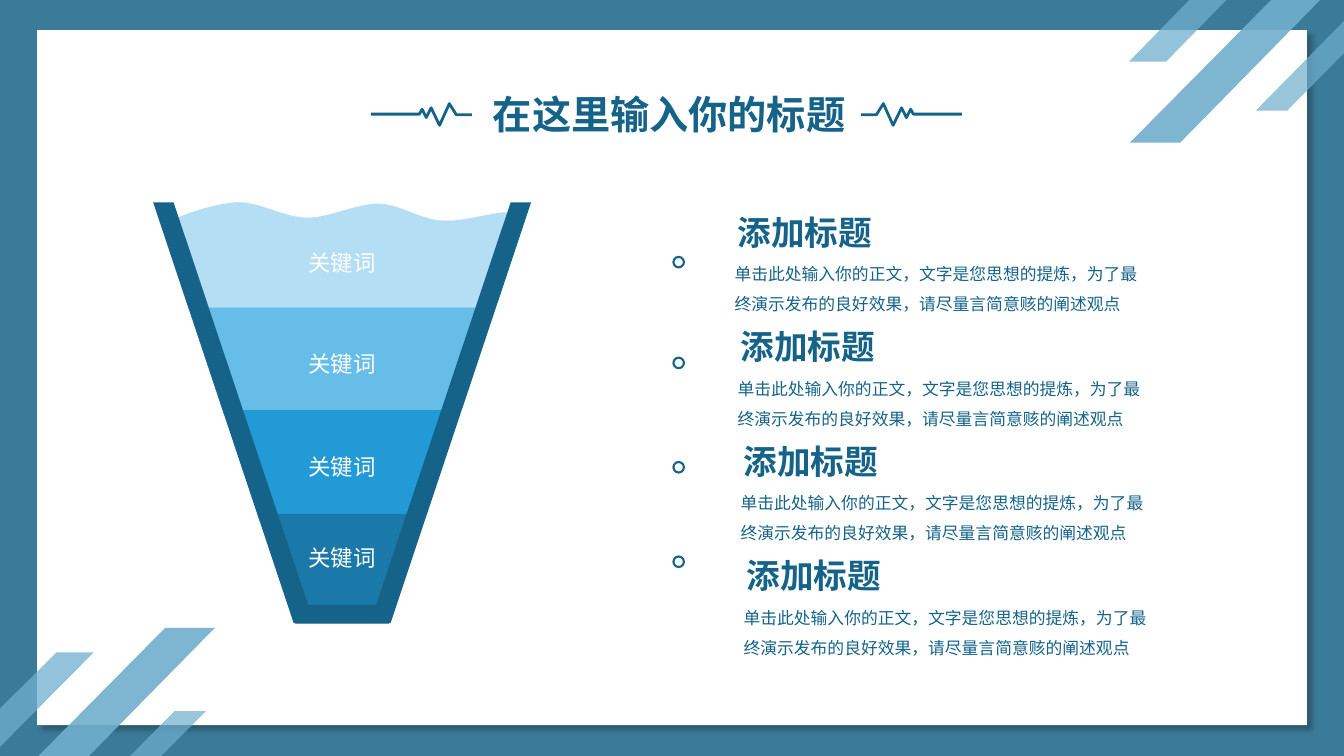
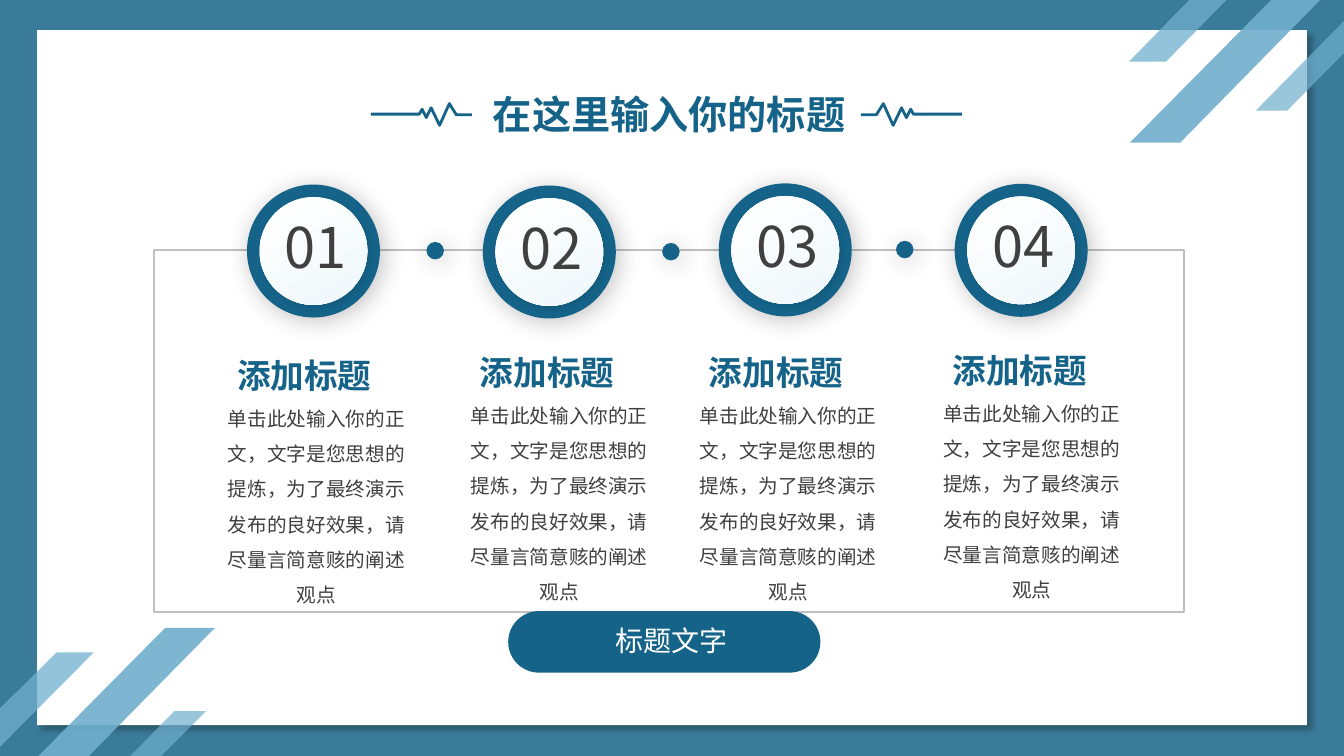
from dataclasses import dataclass
from itertools import chain
from typing import NamedTuple, Optional

from lxml.etree import SubElement
from pptx import Presentation
from pptx.dml.color import RGBColor
from pptx.enum.shapes import MSO_SHAPE
from pptx.enum.text import MSO_AUTO_SIZE, PP_ALIGN
from pptx.oxml.ns import qn
from pptx.shapes.autoshape import Shape
from pptx.slide import Slide, SlideLayout
from pptx.util import Pt


# Theme: colours and type sizes
@dataclass(frozen=True)
class Theme:
    font: str = "Noto Sans CJK SC"
    backdrop: str = "F2F2F2"
    border: str = "3A7B99"
    paper: str = "FFFFFF"
    ribbon: str = "70AFCE"
    navy: str = "156389"
    ink: str = "404040"
    outline: str = "BFBFBF"
    tint: str = "F0F8FB"
    water: tuple[str, ...] = ("B3DEF3", "66BDE8", "219AD5", "1A79A8")
    title_size: float = 28
    heading_size: float = 24
    pill_size: float = 20
    keyword_size: float = 16
    column_size: float = 14
    body_size: float = 12
    number_size: float = 40


THEME = Theme()
TITLE = "在这里输入你的标题"
HEADING = "添加标题"
BODY = "单击此处输入你的正文，文字是您思想的提炼，为了最终演示发布的良好效果，请尽量言简意赅的阐述观点"


class Area(NamedTuple):
    left: float
    top: float
    width: float
    height: float


class Shadow(NamedTuple):
    color: str
    opacity: int
    blur: float
    distance: float


@dataclass(frozen=True)
class TextStyle:
    size: float
    color: str = THEME.navy
    bold: bool = False
    align: Optional[PP_ALIGN] = None
    spacing: Optional[float] = None
    wrap: bool = True
    inset: bool = True


@dataclass(frozen=True)
class Ribbon:
    corners: tuple[tuple[float, float], ...]
    opacity: int


@dataclass(frozen=True)
class Band:
    width: float
    top: float
    height: float
    taper: float
    keyword_top: float
    dot_top: float


@dataclass(frozen=True)
class Step:
    ring_top: float
    body_left: float
    body_top: float


PAPER_SHADOW = Shadow("0D0D0D", 30, 4, 5)
RING_SHADOW = Shadow("000000", 24, 18, 3)
DISC_SHADOW = Shadow("000000", 7, 4, 3)
TITLE_STYLE = TextStyle(THEME.title_size, bold=True)
HEADING_STYLE = TextStyle(THEME.heading_size, bold=True)

RIBBONS = (
    Ribbon(((908, 0), (943, 0), (843, 102), (807, 102)), 90),
    Ribbon(((849.5, 0), (876, 0), (833, 44), (806.5, 44)), 75),
    Ribbon(((960, 15), (960, 38), (919.5, 79), (897, 79)), 70),
    Ribbon(((118, 448.5), (153.5, 448.5), (63.5, 540), (27.5, 540)), 90),
    Ribbon(((40.5, 466), (67, 466), (0, 533.5), (0, 506)), 75),
    Ribbon(((124.5, 508), (147, 508), (115, 540), (93, 540)), 70),
)
PULSE = ((337, 82), (326, 82), (321, 74), (314, 89.5), (308, 77),
         (304.5, 84), (301.5, 78), (299.5, 81.5), (265, 81.5))
PULSE_MIRROR = 952

# Start point, then two control points and an end point per curve
WAVE = (
    (121, 158.5),
    (128, 154), (152.5, 145.5), (169, 144.5),
    (186, 144), (202.5, 155.5), (219.5, 155.5),
    (236, 155.5), (254, 145.5), (270.5, 145.5),
    (286.5, 146), (300, 157), (316, 157.5),
    (331, 159), (356.5, 150), (363.5, 152),
    (371, 154), (378.5, 165), (360, 170.5),
    (341, 177), (285, 186), (251, 187),
    (217, 188), (175, 179), (155, 176.5),
    (134, 174), (132.5, 174), (126.5, 172),
    (121.5, 169), (114, 163.5), (121, 158.5),
)
BANDS = (
    Band(245.5, 162, 57.5, 0.289, 178, 183.5),
    Band(191.5, 219.5, 74, 0.289, 250, 255.5),
    Band(150.5, 293, 74, 0.289, 323.5, 330),
    Band(97, 367, 78, 0.357, 389, 397.5),
)
STEPS = (
    Step(131.8, 150.5, 278.5),
    Step(132.5, 324, 276.5),
    Step(131, 487.5, 276.5),
    Step(131.3, 661.5, 275),
)
STEP_DOTS = ((304.6, 172.8), (473, 173.5), (640, 172))


# Drawing helpers
def paint(shape: Shape, fill: Optional[str] = None, line: Optional[str] = None,
          weight: float = 1, opacity: int = 100, shadow: Optional[Shadow] = None) -> Shape:
    shape.shadow.inherit = False
    if fill:
        shape.fill.solid()
        shape.fill.fore_color.rgb = RGBColor.from_string(fill)
        if opacity < 100:
            tone = shape.element.spPr.find(qn("a:solidFill"))[0]
            SubElement(tone, qn("a:alpha"), val=str(opacity * 1000))
    else:
        shape.fill.background()
    if line:
        shape.line.color.rgb = RGBColor.from_string(line)
        shape.line.width = Pt(weight)
    else:
        shape.line.fill.background()
    if shadow:
        effects = shape.element.spPr.find(qn("a:effectLst"))
        outer = SubElement(effects, qn("a:outerShdw"), blurRad=str(Pt(shadow.blur)),
                           dist=str(Pt(shadow.distance)), dir=str(45 * 60000),
                           algn="tl", rotWithShape="0")
        tone = SubElement(outer, qn("a:srgbClr"), val=shadow.color)
        SubElement(tone, qn("a:alpha"), val=str(shadow.opacity * 1000))
    return shape


def add_preset(page: Slide, kind: MSO_SHAPE, area: Area,
               adjust: Optional[float] = None) -> Shape:
    shape = page.shapes.add_shape(kind, *map(Pt, area))
    if adjust is not None:
        shape.adjustments[0] = adjust
    return shape


def add_outline(page: Slide, points: tuple[tuple[float, float], ...],
                closed: bool = True) -> Shape:
    corners = [(Pt(x), Pt(y)) for x, y in points]
    builder = page.shapes.build_freeform(*corners[0])
    builder.add_line_segments(corners[1:], close=closed)
    return builder.convert_to_shape()


def add_text(page: Slide, area: Area, text: str, style: TextStyle) -> None:
    box = page.shapes.add_textbox(*map(Pt, area))
    frame = box.text_frame
    frame.word_wrap = style.wrap
    frame.auto_size = MSO_AUTO_SIZE.SHAPE_TO_FIT_TEXT
    if not style.inset:
        frame.margin_left = frame.margin_right = Pt(0)
        frame.margin_top = frame.margin_bottom = Pt(0)
    para = frame.paragraphs[0]
    para.alignment = style.align
    para.line_spacing = style.spacing
    span = para.add_run()
    span.text = text
    span.font.name = THEME.font
    span.font.size = Pt(style.size)
    span.font.bold = style.bold
    span.font.color.rgb = RGBColor.from_string(style.color)
    # East Asian typeface
    properties = box.element.find(".//" + qn("a:rPr"))
    SubElement(properties, qn("a:ea"), typeface=THEME.font)


def curve_outline(shape: Shape) -> None:
    """Turn each three straight segments into one cubic curve."""
    outline = shape.element.find(".//" + qn("a:path"))
    segments = outline.findall(qn("a:lnTo"))
    for start in range(0, len(segments), 3):
        curve = SubElement(outline, qn("a:cubicBezTo"))
        segments[start].addprevious(curve)
        for segment in segments[start:start + 3]:
            curve.append(segment[0])
            outline.remove(segment)


# Shared frame, kept on the layout
def build_layout(layout: SlideLayout, page: Slide) -> None:
    layout.background.fill.solid()
    layout.background.fill.fore_color.rgb = RGBColor.from_string(THEME.backdrop)
    for placeholder in list(layout.placeholders):
        placeholder.element.getparent().remove(placeholder.element)
    paint(add_preset(page, MSO_SHAPE.RECTANGLE, Area(0, 0, 960, 540)), THEME.border)
    paint(add_preset(page, MSO_SHAPE.RECTANGLE, Area(26.5, 21.5, 907, 496.5)),
          THEME.paper, shadow=PAPER_SHADOW)
    for ribbon in RIBBONS:
        paint(add_outline(page, ribbon.corners), THEME.ribbon, opacity=ribbon.opacity)
    mirrored = tuple((PULSE_MIRROR - x, y) for x, y in PULSE)
    for pulse in (PULSE, mirrored):
        paint(add_outline(page, pulse, closed=False), line=THEME.navy, weight=2)
    for shape in list(page.shapes):
        layout.element.cSld.spTree.append(shape.element)


def add_title(page: Slide) -> None:
    add_text(page, Area(345, 61, 270, 41), TITLE, TITLE_STYLE)


# Funnel page
def build_funnel(page: Slide) -> None:
    add_title(page)
    axis = 244.4
    wave = paint(add_outline(page, WAVE), THEME.water[0])
    curve_outline(wave)
    for band, color in zip(BANDS, THEME.water):
        area = Area(axis - band.width / 2, band.top, band.width, band.height)
        paint(add_preset(page, MSO_SHAPE.TRAPEZOID, area, band.taper), color).rotation = 180

    # Walls and base
    for left, flipped in ((axis - 135, True), (axis + 20, False)):
        wall = paint(add_preset(page, MSO_SHAPE.PARALLELOGRAM,
                                Area(left, 144.5, 115, 300.5), 0.873), THEME.navy)
        if flipped:
            wall.element.spPr.find(qn("a:xfrm")).set("flipH", "1")
    base = add_preset(page, MSO_SHAPE.TRAPEZOID, Area(axis - 36.75, 432, 73.5, 13.5))
    paint(base, THEME.navy).rotation = 180

    # Keywords, markers and descriptions
    keyword = TextStyle(THEME.keyword_size, THEME.paper, align=PP_ALIGN.CENTER,
                        wrap=False, inset=False)
    heading = TextStyle(THEME.heading_size, bold=True, align=PP_ALIGN.JUSTIFY)
    body = TextStyle(THEME.body_size, spacing=1.5)
    for index, band in enumerate(BANDS):
        add_text(page, Area(axis - 24, band.keyword_top, 48, 19.5), "关键词", keyword)
        paint(add_preset(page, MSO_SHAPE.OVAL, Area(481, band.dot_top, 7.5, 7.5)),
              THEME.paper, THEME.navy, 1.5)
        left, top = 519.8 + 2.16 * index, 147.6 + 81.83 * index
        add_text(page, Area(left, top, 125.5, 36), HEADING, heading)
        add_text(page, Area(left - 2.2, top + 30, 307.5, 49), BODY, body)


# Four-step page
def build_steps(page: Slide) -> None:
    add_title(page)
    paint(add_preset(page, MSO_SHAPE.RECTANGLE, Area(110, 178.5, 736, 258.5)),
          line=THEME.outline, weight=1.5)
    number = TextStyle(THEME.number_size, THEME.ink, align=PP_ALIGN.CENTER, wrap=False)
    body = TextStyle(THEME.column_size, THEME.ink, align=PP_ALIGN.CENTER, spacing=1.5)
    heading = TextStyle(THEME.heading_size, bold=True, wrap=False)
    for index, step in enumerate(STEPS):
        left, top = 176.4 + 168.5 * index, step.ring_top
        paint(add_preset(page, MSO_SHAPE.OVAL, Area(left, top, 95, 95)),
              THEME.navy, shadow=RING_SHADOW)
        disc = paint(add_preset(page, MSO_SHAPE.OVAL, Area(left + 9, top + 9, 77, 77)),
                     THEME.paper, shadow=DISC_SHADOW)
        disc.fill.gradient()
        disc.fill.gradient_angle = 300
        for stop, color in zip(disc.fill.gradient_stops, (THEME.paper, THEME.tint)):
            stop.color.rgb = RGBColor.from_string(color)
        add_text(page, Area(left + 18, top + 16.5, 62, 55.5), f"{index + 1:02}", number)
        add_text(page, Area(step.body_left, step.body_top, 151, 157), BODY, body)
        add_text(page, Area(step.body_left + 11.8, step.body_top - 28.8, 114, 36),
                 HEADING, heading)
    for left, top in STEP_DOTS:
        paint(add_preset(page, MSO_SHAPE.OVAL, Area(left, top, 12.5, 12.5)),
              THEME.navy, shadow=RING_SHADOW)

    # Closing label
    paint(add_preset(page, MSO_SHAPE.ROUNDED_RECTANGLE, Area(363, 436.5, 223, 44), 0.5),
          THEME.navy)
    add_text(page, Area(432.5, 442, 94.5, 31.5), "标题文字",
             TextStyle(THEME.pill_size, THEME.paper, wrap=False))


def main() -> None:
    deck = Presentation()
    deck.slide_width, deck.slide_height = Pt(960), Pt(540)
    layout = deck.slide_layouts[6]
    funnel, steps = (deck.slides.add_slide(layout) for _ in range(2))
    build_layout(layout, funnel)
    build_funnel(funnel)
    build_steps(steps)
    deck.save("out.pptx")


if __name__ == "__main__":
    main()
